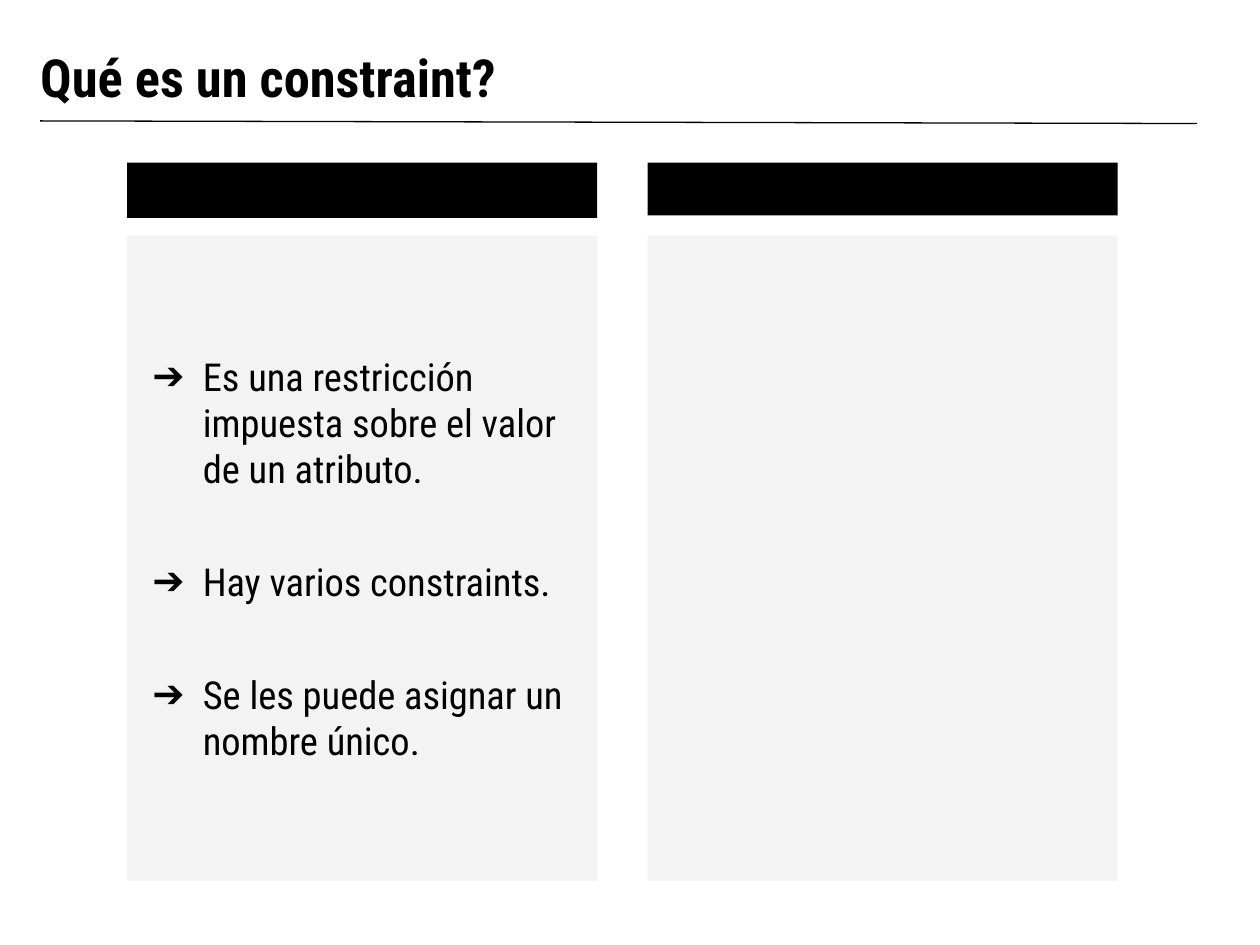
from lxml import etree
from pptx import Presentation
from pptx.dml.color import RGBColor
from pptx.enum.shapes import MSO_CONNECTOR, MSO_SHAPE
from pptx.enum.text import MSO_ANCHOR, MSO_AUTO_SIZE, PP_ALIGN
from pptx.oxml.ns import qn
from pptx.util import Pt

BLACK = RGBColor(0x00, 0x00, 0x00)
GREY = RGBColor(0xF3, 0xF3, 0xF3)
RECT = MSO_SHAPE.RECTANGLE
STRAIGHT = MSO_CONNECTOR.STRAIGHT
TOP, MIDDLE, BOTTOM = MSO_ANCHOR.TOP, MSO_ANCHOR.MIDDLE, MSO_ANCHOR.BOTTOM
NO_FIT = MSO_AUTO_SIZE.NONE
LEFT = PP_ALIGN.LEFT

FONT = "Roboto Condensed"
TITLE_FONT = {"name": FONT, "size": Pt(30), "bold": True}
BODY_FONT = {"name": FONT, "size": Pt(22), "bold": False}
INSETS = {f"margin_{side}": Pt(7.2) for side in ("left", "top", "right", "bottom")}

LEFT_X, RIGHT_X, COLUMN_W = 72.7, 370.1, 268.6
HEADER_Y, PANEL_Y, PANEL_H = 92.9, 134.6, 368.6
POINTS = [
    "Es una restricción impuesta sobre el valor de un atributo.",
    "Hay varios constraints.",
    "Se les puede asignar un nombre único.",
]


def apply(obj, values):
    """Set every attribute named in values on obj."""
    for name, value in values.items():
        setattr(obj, name, value)


def place(sp, x, y, w, h):
    """Move and size a shape, in points."""
    apply(sp, {"left": Pt(x), "top": Pt(y), "width": Pt(w), "height": Pt(h)})


def paint(sp, color):
    """Give a shape a solid fill and no outline."""
    sp.fill.solid()
    sp.fill.fore_color.rgb = color
    sp.line.fill.background()


def add_block(s, x, y, h, color):
    """Add a plain rectangle one column wide."""
    sp = s.shapes.add_shape(RECT, Pt(x), Pt(y), Pt(COLUMN_W), Pt(h))
    sp.shadow.inherit = False
    paint(sp, color)


def add_rule(s, x1, y1, x2, y2):
    """Add the thin line under the title."""
    line = s.shapes.add_connector(STRAIGHT, Pt(x1), Pt(y1), Pt(x2), Pt(y2))
    line.line.color.rgb = BLACK
    line.line.width = Pt(0.75)
    etree.SubElement(line._element.spPr, qn("a:effectLst"))


def add_run(p, text, font):
    """Add a formatted black run to a left-aligned paragraph."""
    p.alignment = LEFT
    r = p.add_run()
    r.text = text
    apply(r.font, font)
    r.font.color.rgb = BLACK


def set_bullet(p, char, margin, indent):
    """Give a paragraph a black bullet with a hanging indent."""
    pPr = p._p.get_or_add_pPr()
    pPr.set("marL", str(Pt(margin)))
    pPr.set("indent", str(Pt(indent)))
    color = etree.SubElement(pPr, qn("a:buClr"))
    etree.SubElement(color, qn("a:srgbClr"), val=str(BLACK))
    etree.SubElement(pPr, qn("a:buChar"), char=char)


def fill_title(sp, text):
    """Place and write the title."""
    place(sp, 15.8, 15.8, 648, 53.3)
    tf = sp.text_frame
    apply(tf, {**INSETS, "vertical_anchor": BOTTOM, "word_wrap": True, "auto_size": NO_FIT})
    add_run(tf.paragraphs[0], text, TITLE_FONT)


def fill_list(sp, points):
    """Place the grey body panel and write its bulleted list."""
    place(sp, LEFT_X, PANEL_Y, COLUMN_W, PANEL_H)
    paint(sp, GREY)
    tf = sp.text_frame
    apply(tf, {**INSETS, "vertical_anchor": MIDDLE, "word_wrap": True, "auto_size": NO_FIT})
    for i, text in enumerate(points):
        p = tf.add_paragraph() if i else tf.paragraphs[0]
        p.space_before = Pt(38 if i else 6)
        set_bullet(p, "➔", 36, -28.8)
        add_run(p, text, BODY_FONT)


def main():
    """Build the slide and save it."""
    prs = Presentation()
    apply(prs, {"slide_width": Pt(720), "slide_height": Pt(540)})
    s = prs.slides.add_slide(prs.slide_layouts[1])
    fill_title(s.shapes.title, "Qué es un constraint?")
    fill_list(s.placeholders[1], POINTS)
    add_rule(s, 23, 69.1, 684, 70.6)
    add_block(s, LEFT_X, HEADER_Y, 31.7, BLACK)
    add_block(s, RIGHT_X, PANEL_Y, PANEL_H, GREY)
    add_block(s, RIGHT_X, HEADER_Y, 30.2, BLACK)
    prs.save("out.pptx")


if __name__ == "__main__":
    main()
